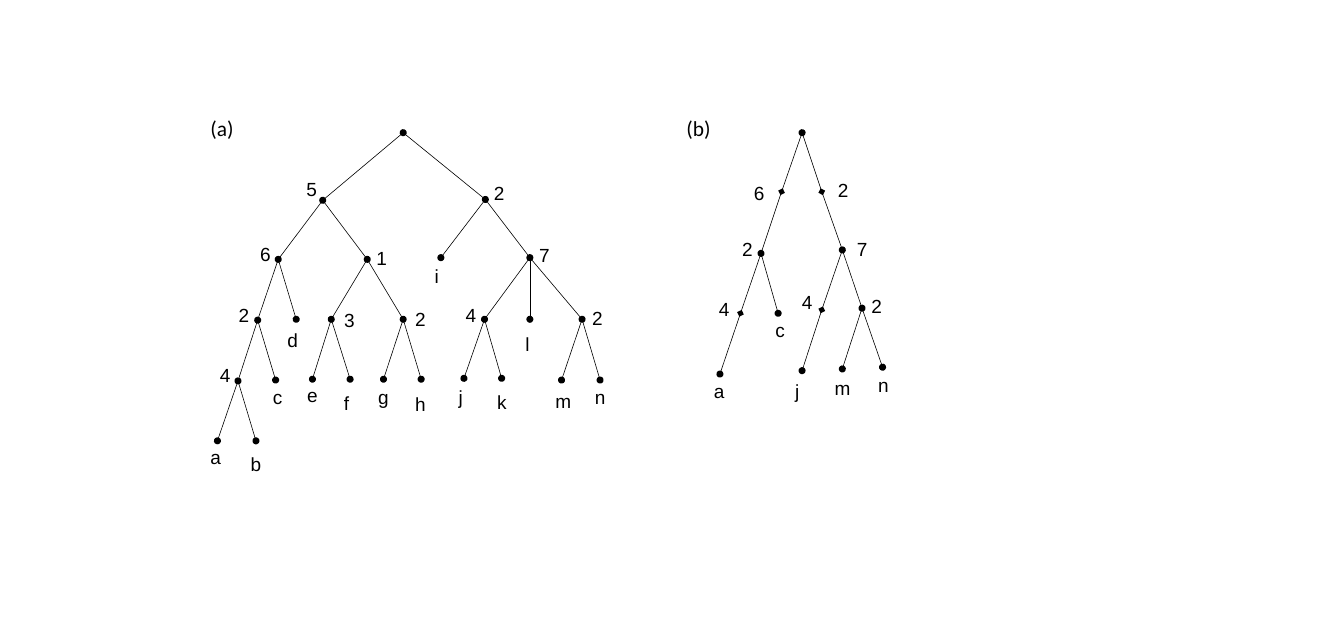
"""Draw two labelled trees, (a) and (b), side by side."""
import lxml.etree
import pptx
import pptx.dml.color
import pptx.enum.shapes
import pptx.enum.text
import pptx.oxml.ns
import pptx.util

BLACK = pptx.dml.color.RGBColor(0, 0, 0)
INCH = 2.54
HIGH = 0.37
WIDE = {
    "a": 0.32, "b": 0.31, "c": 0.29, "d": 0.32, "e": 0.29, "f": 0.27, "g": 0.31,
    "h": 0.32, "i": 0.27, "j": 0.26, "k": 0.31, "l": 0.26, "m": 0.38, "n": 0.33,
    "1": 0.30, "2": 0.33, "3": 0.31, "4": 0.34, "5": 0.31, "6": 0.33, "7": 0.32,
}


def size(value):
    """Turn inches into a length."""
    return pptx.util.Cm(value * INCH)


def write(frame, text, font="Arial", points=16, color=BLACK):
    """Put formatted text in a frame."""
    run = frame.paragraphs[0].add_run()
    run.text = text
    run.font.name = font
    run.font.size = pptx.util.Pt(points)
    run.font.color.rgb = color


def node(x, y, text, left, top, *kids, mark="oval"):
    """Describe a node, its label's corner and its children."""
    return {"spot": (x, y), "label": (text, left, top), "kids": kids, "mark": mark}


class Board:
    """Hold the line style and the current slide."""

    def __init__(self, slide, color=BLACK, weight=0.5):
        """Keep the slide and the style."""
        self.shapes = slide.shapes
        self.color = color
        self.weight = pptx.util.Pt(weight)

    def label(self, text, left, top, wide, high=HIGH, **style):
        """Add an unwrapped text box."""
        box = self.shapes.add_textbox(*map(size, (left, top, wide, high)))
        frame = box.text_frame
        frame.word_wrap = False
        frame.auto_size = pptx.enum.text.MSO_AUTO_SIZE.SHAPE_TO_FIT_TEXT
        write(frame, text, color=self.color, **style)

    def edge(self, start, end, **marks):
        """Join two spots, with marks given as headEnd and tailEnd."""
        kind = pptx.enum.shapes.MSO_CONNECTOR.STRAIGHT
        line = self.shapes.add_connector(kind, *map(size, start + end))
        line.line.color.rgb = self.color
        line.line.width = self.weight
        name = pptx.oxml.ns.qn
        props = line.element.spPr
        stroke = props.find(name("a:ln"))
        for side, mark in marks.items():
            lxml.etree.SubElement(stroke, name("a:" + side), type=mark)
        lxml.etree.SubElement(props, name("a:effectLst"))

    def branch(self, start, item, **marks):
        """Draw a node with the edge above it and all below it."""
        self.edge(start, item["spot"], **marks, tailEnd=item["mark"])
        text, left, top = item["label"]
        self.label(text, left, top, WIDE[text])
        for kid in item["kids"]:
            self.branch(item["spot"], kid)

    def tree(self, title, left, root, first, *rest):
        """Draw a titled tree from its root."""
        self.label(title, left, 1.29, 0.48, 0.4, font="Calibri", points=18)
        self.branch(root, first, headEnd="oval")
        for item in rest:
            self.branch(root, item)


deck = pptx.Presentation()
deck.slide_width = size(15.7)
deck.slide_height = size(7.5)
board = Board(deck.slides.add_slide(deck.slide_layouts[6]))

board.tree(
    "(a)", 2.36, (4.71, 1.55),
    node(3.77, 2.34, "5", 3.48, 2.02,
         node(3.25, 3.03, "6", 2.94, 2.78,
              node(3.01, 3.74, "2", 2.69, 3.5,
                   node(2.78, 4.45, "4", 2.47, 4.2,
                        node(2.54, 5.15, "a", 2.36, 5.16),
                        node(2.99, 5.15, "b", 2.83, 5.24)),
                   node(3.22, 4.44, "c", 3.09, 4.45)),
              node(3.46, 3.73, "d", 3.26, 3.79)),
         node(4.29, 3.03, "1", 4.3, 2.83,
              node(3.87, 3.73, "3", 3.92, 3.55,
                   node(3.65, 4.43, "e", 3.49, 4.43),
                   node(4.09, 4.43, "f", 3.92, 4.53)),
              node(4.71, 3.73, "2", 4.75, 3.54,
                   node(4.48, 4.43, "g", 4.32, 4.45),
                   node(4.92, 4.43, "h", 4.75, 4.54)))),
    node(5.67, 2.33, "2", 5.67, 2.07,
         node(5.15, 3.01, "i", 4.98, 3.04),
         node(6.19, 3.01, "7", 6.2, 2.79,
              node(5.66, 3.73, "4", 5.34, 3.5,
                   node(5.42, 4.42, "j", 5.26, 4.45),
                   node(5.86, 4.42, "k", 5.71, 4.51)),
              node(6.19, 3.73, "l", 6.04, 3.83),
              node(6.8, 3.73, "2", 6.82, 3.53,
                   node(6.56, 4.44, "m", 6.39, 4.5),
                   node(7.01, 4.44, "n", 6.85, 4.46)))))

board.tree(
    "(b)", 7.92, (9.37, 1.55),
    node(9.13, 2.24, "6", 8.71, 2.07,
         node(8.89, 2.96, "2", 8.57, 2.73,
              node(8.65, 3.66, "4", 8.3, 3.43,
                   node(8.41, 4.37, "a", 8.24, 4.38), mark="diamond"),
              node(9.09, 3.66, "c", 8.96, 3.67)), mark="diamond"),
    node(9.6, 2.24, "2", 9.69, 2.04,
         node(9.84, 2.92, "7", 9.91, 2.73,
              node(9.6, 3.62, "4", 9.27, 3.35,
                   node(9.37, 4.33, "j", 9.19, 4.38), mark="diamond"),
              node(10.07, 3.6, "2", 10.08, 3.39,
                   node(9.84, 4.31, "m", 9.65, 4.35),
                   node(10.31, 4.29, "n", 10.16, 4.31))), mark="diamond"))

deck.save("out.pptx")
